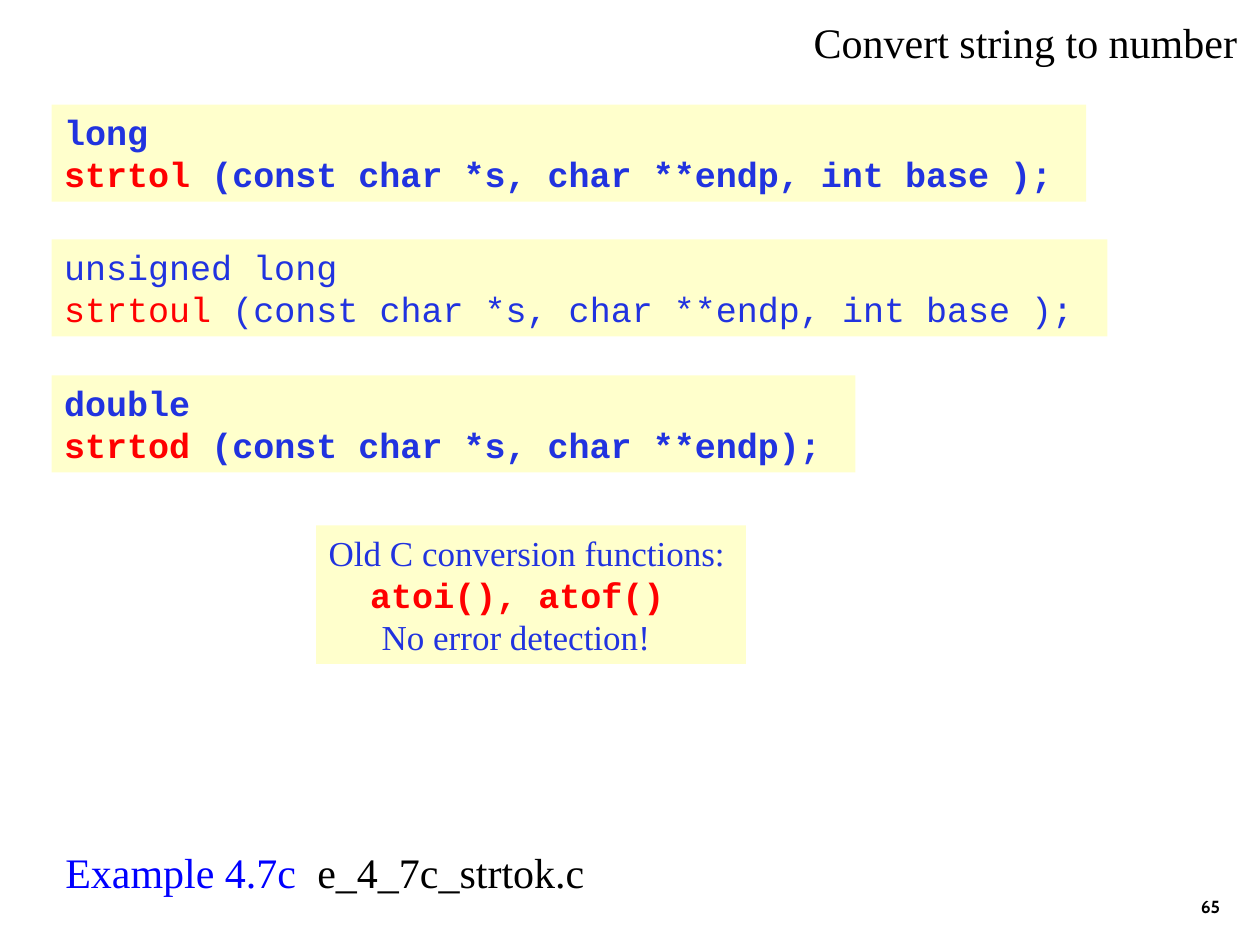
from lxml import etree
from pptx import Presentation
from pptx.dml.color import RGBColor
from pptx.enum.shapes import MSO_SHAPE
from pptx.enum.text import MSO_ANCHOR, PP_ALIGN
from pptx.oxml.ns import qn
from pptx.util import Inches, Pt

RECT = MSO_SHAPE.RECTANGLE
LEFT, RIGHT = PP_ALIGN.LEFT, PP_ALIGN.RIGHT
TOP, BOTTOM = MSO_ANCHOR.TOP, MSO_ANCHOR.BOTTOM

BLACK = RGBColor(0x00, 0x00, 0x00)
BLUE = RGBColor(0x00, 0x00, 0xFF)
INDIGO = RGBColor(0x21, 0x33, 0xDF)
RED = RGBColor(0xFF, 0x00, 0x00)
CREAM = RGBColor(0xFF, 0xFF, 0xCC)

SERIF = "Times New Roman"
MONO = "Courier New"
SANS = "Cabin"


def add_text(para, text, font=SERIF, size=20, color=INDIGO, bold=False):
    run = para.add_run()
    run.text = text
    run.font.name = font
    run.font.size = Pt(size)
    run.font.color.rgb = color
    run.font.bold = bold


def set_frame(shape, anchor=TOP, align=LEFT, wrap=True):
    """Prepare the text frame and return its first paragraph."""
    frame = shape.text_frame
    frame.word_wrap = wrap
    frame.vertical_anchor = anchor
    para = frame.paragraphs[0]
    para.alignment = align
    return para


def add_box(slide, left, top, width, height, **layout):
    box = slide.shapes.add_textbox(
        Inches(left), Inches(top), Inches(width), Inches(height))
    return set_frame(box, **layout)


def add_panel(slide, left, top, width, height):
    panel = slide.shapes.add_shape(
        RECT, Inches(left), Inches(top), Inches(width), Inches(height))
    panel.shadow.inherit = False
    panel.fill.solid()
    panel.fill.fore_color.rgb = CREAM
    panel.line.fill.background()
    set_frame(panel)
    return panel.text_frame


def add_line(frame, indent):
    para = frame.add_paragraph()
    para.alignment = LEFT
    para._p.get_or_add_pPr().set("marL", str(Inches(indent)))
    return para


def add_tab(para, pos):
    props = para._p.get_or_add_pPr()
    tabs = etree.SubElement(props, qn("a:tabLst"))
    etree.SubElement(tabs, qn("a:tab"), pos=str(Inches(pos)), algn="l")


def add_code(slide, top, width, kind, name, args, bold=True):
    """Panel with a return type above a function signature."""
    frame = add_panel(slide, 0.41, top, width, 0.77)
    add_text(frame.paragraphs[0], kind, font=MONO, bold=bold)
    para = add_line(frame, 0)
    add_text(para, name, font=MONO, color=RED, bold=bold)
    add_text(para, f" ({args});", font=MONO, bold=bold)


def main():
    deck = Presentation()
    deck.slide_width, deck.slide_height = Inches(10), Inches(7.5)
    slide = deck.slides.add_slide(deck.slide_layouts[6])

    # Page number and title
    page = add_box(slide, 7.7, 6.83, 2.08, 0.5, anchor=BOTTOM, align=RIGHT)
    add_text(page, "65", font=SANS, size=10, color=BLACK, bold=True)
    title = add_box(slide, 6.36, 0.08, 3.56, 0.5, wrap=False)
    add_text(title, "Convert string to number", size=24, color=BLACK)

    # Function signatures
    args = "const char *s, char **endp"
    based = args + ", int base "
    add_code(slide, 0.83, 8.21, "long", "strtol", based)
    add_code(slide, 1.9, 8.38, "unsigned long", "strtoul", based, bold=False)
    add_code(slide, 2.98, 6.38, "double", "strtod", args)

    # Example file
    demo = add_box(slide, 0.42, 6.67, 5.67, 0.9)
    add_tab(demo, 2)
    add_text(demo, "Example 4.7c \t", size=24, color=BLUE)
    add_text(demo, "e_4_7c_strtok.c", size=24, color=BLACK)

    # Old functions
    note = add_panel(slide, 2.51, 4.17, 3.41, 1.1)
    add_text(note.paragraphs[0], "Old C conversion functions:")
    add_text(add_line(note, 0.33), "atoi(), atof()",
             font=MONO, color=RED, bold=True)
    add_text(add_line(note, 0.42), "No error detection!")

    deck.save("out.pptx")


if __name__ == "__main__":
    main()
